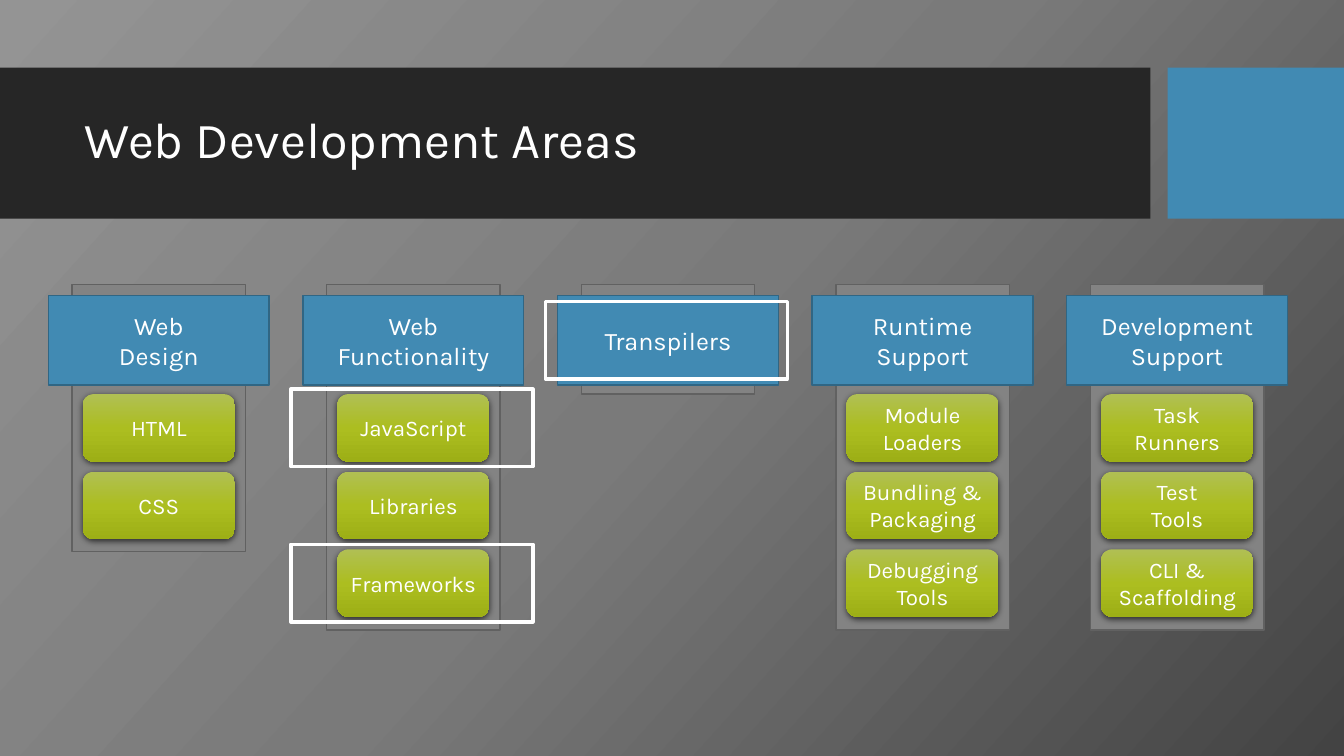
from copy import deepcopy
from dataclasses import dataclass

from lxml import etree
from pptx import Presentation
from pptx.dml.color import RGBColor
from pptx.enum.shapes import MSO_SHAPE
from pptx.enum.text import MSO_ANCHOR, MSO_AUTO_SIZE, PP_ALIGN
from pptx.oxml.ns import qn
from pptx.util import Inches, Pt

RECT, ROUNDED = MSO_SHAPE.RECTANGLE, MSO_SHAPE.ROUNDED_RECTANGLE
CENTER, LEFT = PP_ALIGN.CENTER, PP_ALIGN.LEFT
MIDDLE, NO_FIT = MSO_ANCHOR.MIDDLE, MSO_AUTO_SIZE.NONE
TITLE_ONLY = 5


@dataclass(frozen=True)
class Theme:
    """Colours, font and type sizes of the slide."""
    font: str = "Karla"
    title_size: int = 36
    area_size: int = 18
    topic_size: int = 16
    white: str = "FFFFFF"
    band: str = "262626"
    blue: str = "418AB3"
    blue_edge: str = "306684"
    panel: str = "838383"
    panel_edge: str = "616161"
    shadow: str = "000000"
    backdrop: tuple = ("949494", "7A7A7A", "434343")
    green: tuple = ("B0BF54", "ACBE20", "9DAF16")


THEME = Theme()

FIRST_LEFT, LAST_LEFT = 0.48, 10.58
AREA_TOP, AREA_WIDTH, AREA_HEIGHT = 2.93, 2.19, 0.89
PANEL_TOP, PANEL_WIDTH, PANEL_BASE, PANEL_STEP = 2.82, 1.72, 1.09, 0.78
TOPIC_TOP, TOPIC_WIDTH, TOPIC_HEIGHT, TOPIC_STEP = 3.91, 1.51, 0.67, 0.77
MARK_WIDTH, MARK_HEIGHT, MARK_OVERHANG = 2.4, 0.77, 0.12

AREAS = [
    ("Web\nDesign", ["HTML", "CSS"], True),
    ("Web\nFunctionality", ["JavaScript", "Libraries", "Frameworks"], False),
    ("Transpilers", [], False),
    ("Runtime\nSupport",
     ["Module\nLoaders", "Bundling & Packaging", "Debugging\nTools"], True),
    ("Development\nSupport",
     ["Task\nRunners", "Test\nTools", "CLI & Scaffolding"], True),
]
HIGHLIGHTS = ["JavaScript", "Frameworks", "Transpilers"]


def rgb(code):
    """Turn a hex code into a colour."""
    return RGBColor.from_string(code)


def paint_gradient(fill, owner, colours, clockwise):
    """Fill with three evenly spaced colours at a clockwise angle."""
    fill.gradient()
    fill.gradient_angle = 360 - clockwise
    stops = next(owner.iter(qn("a:gsLst")))
    stops.append(deepcopy(stops[0]))
    for index, (stop, colour) in enumerate(zip(fill.gradient_stops, colours)):
        stop.color.rgb = rgb(colour)
        stop.position = index / 2


def write(shape, text, size, align=CENTER, inset=0.05, spacing=1.0):
    """Write one paragraph per line of text, centred vertically."""
    frame = shape.text_frame
    frame.text = text
    settings = {"word_wrap": True, "auto_size": NO_FIT, "vertical_anchor": MIDDLE,
                "margin_left": Inches(inset), "margin_right": Inches(inset)}
    for key, value in settings.items():
        setattr(frame, key, value)
    for paragraph in frame.paragraphs:
        paragraph.alignment, paragraph.line_spacing = align, spacing
        font = paragraph.runs[0].font
        for key, value in {"name": THEME.font, "size": Pt(size), "bold": False}.items():
            setattr(font, key, value)
        font.color.rgb = rgb(THEME.white)


def add_box(shapes, box, fill=None, edge=None, weight=1, kind=RECT):
    """Add a flat box with an optional fill and edge."""
    shape = shapes.add_shape(kind, *map(Inches, box))
    shape.shadow.inherit = False
    if fill:
        shape.fill.solid()
        shape.fill.fore_color.rgb = rgb(fill)
    else:
        shape.fill.background()
    if edge:
        shape.line.color.rgb = rgb(edge)
        shape.line.width = Pt(weight)
    else:
        shape.line.fill.background()
    return shape


def add_drop_shadow(shape):
    """Cast a soft shadow straight down."""
    effects = shape.element.spPr.find(qn("a:effectLst"))
    shadow = etree.SubElement(effects, qn("a:outerShdw"), blurRad=str(Pt(4.5)),
                              dist=str(Pt(1.5)), dir="5400000", rotWithShape="0")
    colour = etree.SubElement(shadow, qn("a:srgbClr"), val=THEME.shadow)
    etree.SubElement(colour, qn("a:alpha"), val="63000")


def add_topic(shapes, box, text):
    """Add a green topic button."""
    topic = add_box(shapes, box, kind=ROUNDED)
    paint_gradient(topic.fill, topic.element, THEME.green, 90)
    add_drop_shadow(topic)
    write(topic, text, THEME.topic_size)


def add_area(shapes, left, area, topics):
    """Add a column and return the left and vertical centre of each label."""
    panel_left = left + (AREA_WIDTH - PANEL_WIDTH) / 2
    panel_height = PANEL_BASE + PANEL_STEP * len(topics)
    add_box(shapes, (panel_left, PANEL_TOP, PANEL_WIDTH, panel_height),
            THEME.panel, THEME.panel_edge)
    header = add_box(shapes, (left, AREA_TOP, AREA_WIDTH, AREA_HEIGHT),
                     THEME.blue, THEME.blue_edge)
    write(header, area, THEME.area_size)
    anchors = {area: (left, AREA_TOP + AREA_HEIGHT / 2)}
    topic_left = left + (AREA_WIDTH - TOPIC_WIDTH) / 2
    for row, topic in enumerate(topics):
        top = TOPIC_TOP + row * TOPIC_STEP
        add_topic(shapes, (topic_left, top, TOPIC_WIDTH, TOPIC_HEIGHT), topic)
        anchors[topic] = (left, top + TOPIC_HEIGHT / 2)
    return anchors


def add_highlight(shapes, left, middle):
    """Frame a label with a white outline."""
    add_box(shapes, (left - MARK_OVERHANG, middle - MARK_HEIGHT / 2,
                     MARK_WIDTH, MARK_HEIGHT), edge=THEME.white, weight=2.5)


def add_title(slide, text):
    """Lay the title over its dark band and blue block."""
    add_box(slide.shapes, (0, 0.67, 11.41, 1.5), THEME.band)
    add_box(slide.shapes, (11.58, 0.67, 1.75, 1.5), THEME.blue)
    title = slide.shapes.title
    place = {"left": 0.74, "top": 0.82, "width": 10.51, "height": 1.18}
    for key, value in place.items():
        setattr(title, key, Inches(value))
    write(title, text, THEME.title_size, LEFT, 0.1, 0.9)
    title.element.getparent().append(title.element)


def main():
    """Build and save the slide."""
    deck = Presentation()
    deck.slide_width, deck.slide_height = Inches(13.33), Inches(7.5)
    slide = deck.slides.add_slide(deck.slide_layouts[TITLE_ONLY])
    paint_gradient(slide.background.fill, slide.element, THEME.backdrop, 42)
    add_title(slide, "Web Development Areas")
    pitch = (LAST_LEFT - FIRST_LEFT) / (len(AREAS) - 1)
    anchors = {}
    for column, (area, topics, grouped) in enumerate(AREAS):
        shapes = slide.shapes.add_group_shape().shapes if grouped else slide.shapes
        anchors.update(add_area(shapes, FIRST_LEFT + column * pitch, area, topics))
    for label in HIGHLIGHTS:
        add_highlight(slide.shapes, *anchors[label])
    deck.save("out.pptx")


if __name__ == "__main__":
    main()
